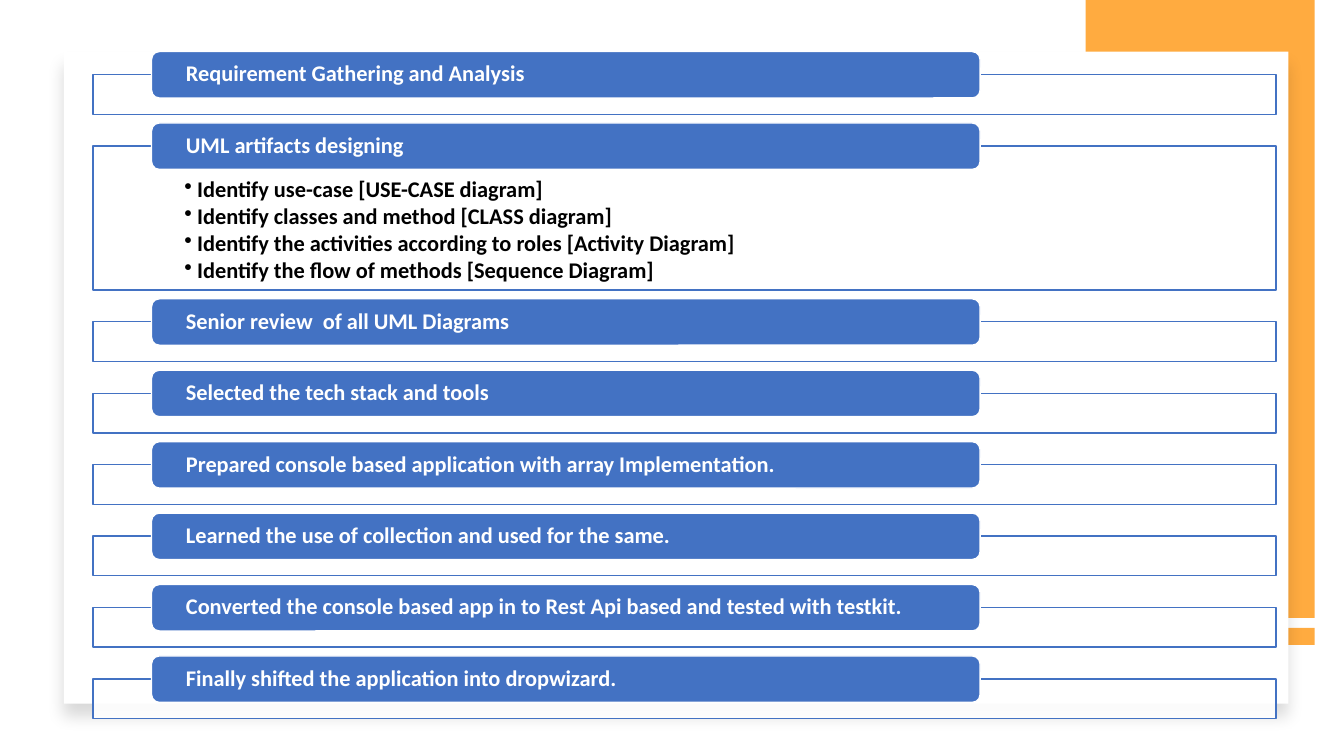
from lxml.etree import SubElement
from pptx import Presentation
from pptx.dml.color import RGBColor
from pptx.enum.shapes import MSO_SHAPE as Shape
from pptx.enum.text import MSO_ANCHOR as Anchor, PP_ALIGN as Align
from pptx.oxml.ns import qn
from pptx.util import Cm, Pt

COLORS = {"accent": "FFAB40", "step": "4372C3", "paper": "FFFFFF", "ink": "000000"}
FONT = "Calibri"
FIRST_PANEL_TOP = 1.88
PANEL_HEIGHT = 1.0
DETAIL_HEIGHT = 3.63
GAP = 0.8
TAB_RISE = 0.58

STEPS = [
    ("Requirement Gathering and Analysis", []),
    ("UML artifacts designing", [
        "Identify use-case [USE-CASE diagram]",
        "Identify classes and method [CLASS diagram]",
        "Identify the activities according to roles [Activity Diagram]",
        "Identify the flow of methods [Sequence Diagram]",
    ]),
    ("Senior review  of all UML Diagrams", []),
    ("Selected the tech stack and tools", []),
    ("Prepared console based application with array Implementation.", []),
    ("Learned the use of collection and used for the same.", []),
    ("Converted the console based app in to Rest Api based and tested with testkit.", []),
    ("Finally shifted the application into dropwizard.", []),
]


def rgb(name):
    """Return the named colour."""
    return RGBColor.from_string(COLORS[name])


def add_box(slide, box, fill, line=None, kind=Shape.RECTANGLE):
    """Add a filled shape at left, top, width, height in centimetres."""
    shape = slide.shapes.add_shape(kind, *(Cm(length) for length in box))
    shape.shadow.inherit = False
    shape.fill.solid()
    shape.fill.fore_color.rgb = rgb(fill)
    if line:
        shape.line.color.rgb = rgb(line)
        shape.line.width = Pt(1)
    else:
        shape.line.fill.background()
    return shape


def set_alpha(color_element, percent):
    """Set the opacity of a colour element."""
    SubElement(color_element, qn("a:alpha")).set("val", str(percent * 1000))


def add_shadow(shape):
    """Give a shape a soft shadow falling downwards."""
    effects = shape._element.spPr.find(qn("a:effectLst"))
    shadow = SubElement(effects, qn("a:outerShdw"), blurRad=str(Pt(11)),
                        dist=str(Pt(10)), dir="5400000", algn="t", rotWithShape="0")
    set_alpha(SubElement(shadow, qn("a:srgbClr"), val=COLORS["ink"]), 15)


def set_frame(shape, anchor, side, top=0, bottom=0):
    """Set anchor and insets of a shape's text and return its frame."""
    frame = shape.text_frame
    frame.word_wrap = True
    frame.vertical_anchor = anchor
    frame.margin_left = frame.margin_right = Cm(side)
    frame.margin_top, frame.margin_bottom = Cm(top), Cm(bottom)
    return frame


def write(paragraph, text, color):
    """Write one bold run into a left-aligned paragraph."""
    paragraph.alignment = Align.LEFT
    paragraph.line_spacing = 0.9
    run = paragraph.add_run()
    run.text = text
    run.font.name, run.font.size, run.font.bold = FONT, Pt(16), True
    run.font.color.rgb = rgb(color)


def add_bullet(paragraph):
    """Give a paragraph a round bullet with a hanging indent."""
    properties = paragraph._p.get_or_add_pPr()
    properties.set("marL", str(Cm(0.32)))
    properties.set("indent", str(-Cm(0.32)))
    color = SubElement(properties, qn("a:buClr"))
    SubElement(color, qn("a:srgbClr"), val=COLORS["ink"])
    SubElement(properties, qn("a:buChar"), char="•")


def add_panel(slide, top, height, details):
    """Add the outlined panel of a step with its bulleted details."""
    panel = add_box(slide, (2.34, top, 29.82, height), "paper", "step")
    set_alpha(panel._element.spPr.find(qn("a:solidFill"))[0], 90)
    if not details:
        return
    frame = set_frame(panel, Anchor.TOP, 2.31, 0.81, 0.28)
    for index, detail in enumerate(details):
        paragraph = frame.add_paragraph() if index else frame.paragraphs[0]
        add_bullet(paragraph)
        if index:
            paragraph.space_before = Pt(2.1)
        write(paragraph, detail, "ink")


def add_tab(slide, top, title):
    """Add the rounded title tab of a step."""
    tab = add_box(slide, (3.82, top, 20.88, 1.17), "step", "paper", Shape.ROUNDED_RECTANGLE)
    write(set_frame(tab, Anchor.MIDDLE, 0.81).paragraphs[0], title, "paper")


def add_backdrop(slide):
    """Add the accent blocks and the shadowed sheet."""
    add_box(slide, (27.36, 15.82, 5.77, 0.43), "accent")
    add_box(slide, (27.36, 0, 5.77, 15.57), "accent")
    add_shadow(add_box(slide, (1.61, 1.3, 30.86, 16.43), "paper"))


def main():
    """Build the slide of project steps."""
    presentation = Presentation()
    presentation.slide_width, presentation.slide_height = Cm(33.87), Cm(19.05)
    slide = presentation.slides.add_slide(presentation.slide_layouts[6])
    add_backdrop(slide)
    top = FIRST_PANEL_TOP
    for title, details in STEPS:
        height = DETAIL_HEIGHT if details else PANEL_HEIGHT
        add_panel(slide, top, height, details)
        add_tab(slide, top - TAB_RISE, title)
        top += height + GAP
    presentation.save("out.pptx")


if __name__ == "__main__":
    main()
